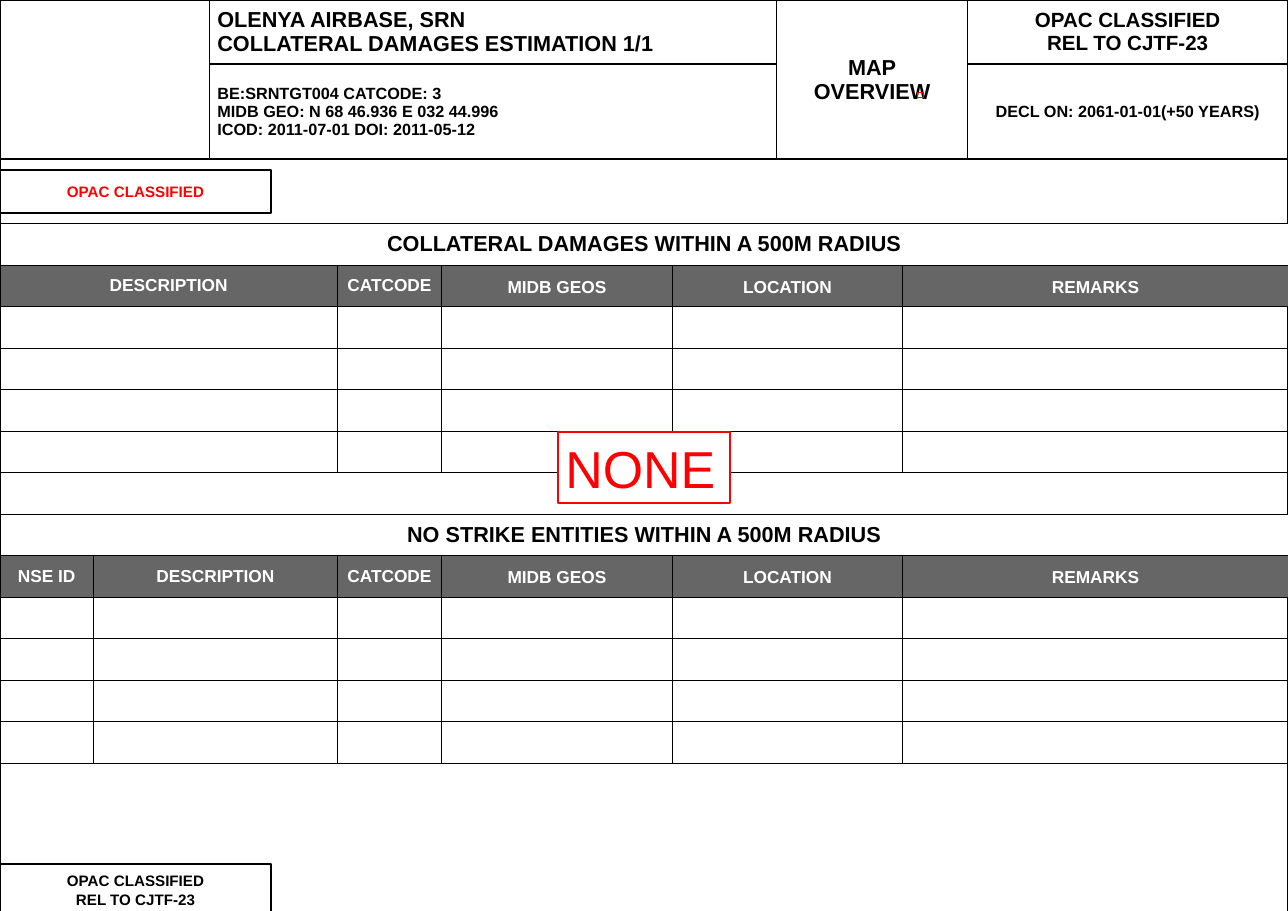
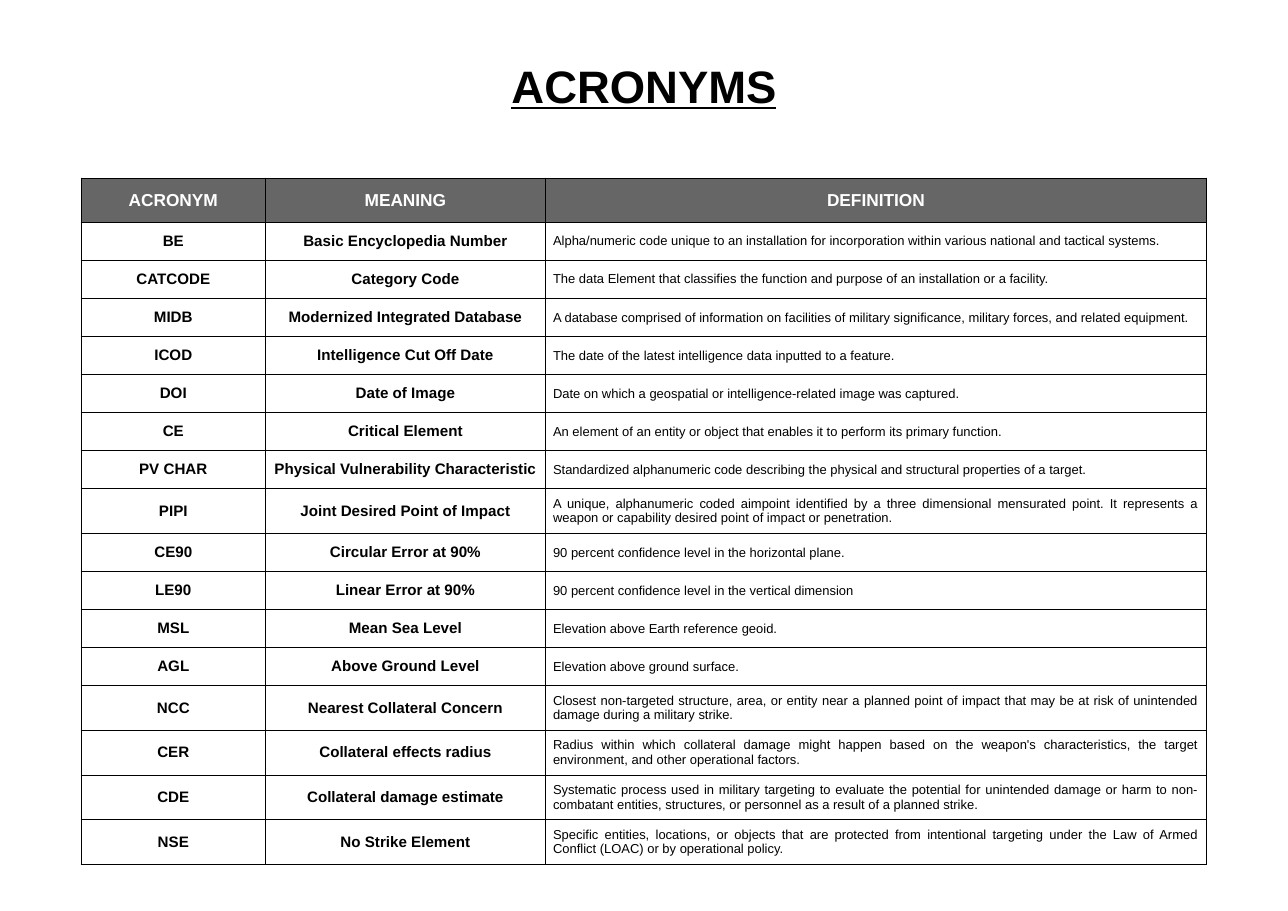
"""Build a collateral damage estimation sheet and its table of acronyms."""
from dataclasses import dataclass

from lxml import etree
from pptx import Presentation
from pptx.dml.color import RGBColor
from pptx.enum.shapes import MSO_SHAPE
from pptx.enum.text import MSO_ANCHOR, MSO_AUTO_SIZE, PP_ALIGN
from pptx.oxml.ns import qn
from pptx.util import Pt

RECTANGLE = MSO_SHAPE.RECTANGLE
TOP, MIDDLE = MSO_ANCHOR.TOP, MSO_ANCHOR.MIDDLE
LEFT, CENTER, JUSTIFY = PP_ALIGN.LEFT, PP_ALIGN.CENTER, PP_ALIGN.JUSTIFY
NO_AUTOFIT = MSO_AUTO_SIZE.NONE
TITLE_ONLY, BLANK = 5, 6


@dataclass(frozen=True)
class Theme:
    font: str = "Arial"
    black: str = "000000"
    white: str = "FFFFFF"
    gray: str = "666666"
    red: str = "FF0000"
    title: float = 42
    stamp: float = 48
    heading: float = 20
    marking: float = 19
    column: float = 16
    detail: float = 15
    label: float = 14
    body: float = 12
    inset: float = 7.2
    thin: float = 0.75
    thick: float = 1.5


THEME = Theme()
WIDTH, HEIGHT = 1190.5, 842
BANNER_COLUMNS = (193.7, 524.2, 176.4, 296)
BANNER_ROWS = (58, 88, 697)
DAMAGE_COLUMNS = (86.4, 225.4, 96.5, 213.1, 213.1, 356.4)
DAMAGE_ROWS = (38.4,) * 13
ACRONYM_COLUMNS = (170.6, 258.5, 611.3)
SECOND_SECTION = 7
DAMAGE_HEADS = ("DESCRIPTION", "CATCODE", "MIDB GEOS", "LOCATION", "REMARKS")
ACRONYM_HEADS = ("ACRONYM", "MEANING", "DEFINITION")
ACRONYMS = (
    ("BE", "Basic Encyclopedia Number",
     "Alpha/numeric code unique to an installation for incorporation within various "
     "national and tactical systems."),
    ("CATCODE", "Category Code",
     "The data Element that classifies the function and purpose of an installation or a facility."),
    ("MIDB", "Modernized Integrated Database",
     "A database comprised of information on facilities of military significance, "
     "military forces, and related equipment."),
    ("ICOD", "Intelligence Cut Off Date",
     "The date of the latest intelligence data inputted to a feature."),
    ("DOI", "Date of Image",
     "Date on which a geospatial or intelligence-related image was captured."),
    ("CE", "Critical Element",
     "An element of an entity or object that enables it to perform its primary function."),
    ("PV CHAR", "Physical Vulnerability Characteristic",
     "Standardized alphanumeric code describing the physical and structural properties of a target."),
    ("PIPI", "Joint Desired Point of Impact",
     "A unique, alphanumeric coded aimpoint identified by a three dimensional mensurated "
     "point. It represents a weapon or capability desired point of impact or penetration."),
    ("CE90", "Circular Error at 90%", "90 percent confidence level in the horizontal plane."),
    ("LE90", "Linear Error at 90%", "90 percent confidence level in the vertical dimension"),
    ("MSL", "Mean Sea Level", "Elevation above Earth reference geoid."),
    ("AGL", "Above Ground Level", "Elevation above ground surface."),
    ("NCC", "Nearest Collateral Concern",
     "Closest non-targeted structure, area, or entity near a planned point of impact that "
     "may be at risk of unintended damage during a military strike."),
    ("CER", "Collateral effects radius",
     "Radius within which collateral damage might happen based on the weapon's "
     "characteristics, the target environment, and other operational factors."),
    ("CDE", "Collateral damage estimate",
     "Systematic process used in military targeting to evaluate the potential for "
     "unintended damage or harm to non-combatant entities, structures, or personnel as a "
     "result of a planned strike."),
    ("NSE", "No Strike Element",
     "Specific entities, locations, or objects that are protected from intentional "
     "targeting under the Law of Armed Conflict (LOAC) or by operational policy."),
)


def write(frame, text, size=THEME.label, color=THEME.black, bold=True,
          underline=False, align=CENTER, spacing=None):
    for index, line in enumerate(text.split("\n")):
        para = frame.add_paragraph() if index else frame.paragraphs[0]
        para.alignment = align
        if spacing:
            para.line_spacing = spacing
        span = para.add_run()
        span.text = line
        font = span.font
        font.name, font.size = THEME.font, Pt(size)
        font.bold, font.underline = bold, underline
        font.color.rgb = RGBColor.from_string(color)


def paint(fill, color):
    if color:
        fill.solid()
        fill.fore_color.rgb = RGBColor.from_string(color)
    else:
        fill.background()


def set_insets(target, horizontal, vertical):
    target.margin_left = target.margin_right = Pt(horizontal)
    target.margin_top = target.margin_bottom = Pt(vertical)


def add_borders(cell, width):
    properties = cell._tc.get_or_add_tcPr()
    for side in ("lnL", "lnR", "lnT", "lnB"):
        line = etree.SubElement(properties, qn(f"a:{side}"), w=str(Pt(width)))
        solid = etree.SubElement(line, qn("a:solidFill"))
        etree.SubElement(solid, qn("a:srgbClr"), val=THEME.black)


def add_grid(page, left, top, columns, rows, line_width):
    frame = page.shapes.add_table(len(rows), len(columns), Pt(left), Pt(top),
                                  Pt(sum(columns)), Pt(sum(rows)))
    grid = frame.table
    grid.first_row = grid.horz_banding = False
    for column, width in zip(grid.columns, columns):
        column.width = Pt(width)
    for row, height in zip(grid.rows, rows):
        row.height = Pt(height)
    for cell in grid.iter_cells():
        add_borders(cell, line_width)
        cell.fill.background()
        cell.vertical_anchor = MIDDLE
        set_insets(cell, THEME.inset, THEME.inset)
    return grid


def fill_cell(grid, row, column, text, fill=None, **text_format):
    cell = grid.cell(row, column)
    if fill:
        paint(cell.fill, fill)
    if text:
        write(cell.text_frame, text, **text_format)


def head_cell(grid, row, column, text, **text_format):
    fill_cell(grid, row, column, text, fill=THEME.gray, size=THEME.column,
              color=THEME.white, **text_format)


def merge(grid, row, column, last_row, last_column):
    grid.cell(row, column).merge(grid.cell(last_row, last_column))


def add_box(page, left, top, width, height, text="", fill=THEME.white,
            line=THEME.black, line_width=THEME.thick, anchor=MIDDLE,
            vertical_inset=THEME.inset, **text_format):
    box = page.shapes.add_shape(RECTANGLE, Pt(left), Pt(top), Pt(width), Pt(height))
    box.shadow.inherit = False
    paint(box.fill, fill)
    paint(box.line.fill, line)
    box.line.width = Pt(line_width)
    if text:
        frame = box.text_frame
        frame.word_wrap = True
        frame.vertical_anchor = anchor
        set_insets(frame, THEME.inset, vertical_inset)
        write(frame, text, **text_format)


def add_banner(page):
    grid = add_grid(page, 0, 0, BANNER_COLUMNS, BANNER_ROWS, THEME.thick)
    merge(grid, 0, 0, 1, 0)
    merge(grid, 0, 2, 1, 2)
    merge(grid, 2, 0, 2, 3)
    cells = (
        (0, 0, "", THEME.heading, CENTER),
        (0, 1, "OLENYA AIRBASE, SRN\nCOLLATERAL DAMAGES ESTIMATION 1/1", THEME.heading, LEFT),
        (0, 2, "MAP\nOVERVIEW", THEME.heading, CENTER),
        (0, 3, "OPAC CLASSIFIED\nREL TO CJTF-23", THEME.marking, CENTER),
        (1, 1, "BE:SRNTGT004 CATCODE: 3\nMIDB GEO: N 68 46.936 E 032 44.996\n"
               "ICOD: 2011-07-01 DOI: 2011-05-12", THEME.detail, LEFT),
        (1, 3, "DECL ON: 2061-01-01(+50 YEARS)", THEME.detail, CENTER),
    )
    for row, column, text, size, align in cells:
        fill_cell(grid, row, column, text, fill=THEME.white, size=size, align=align)


def add_section(grid, row, title, heads):
    last_column = len(DAMAGE_COLUMNS) - 1
    merge(grid, row, 0, row, last_column)
    fill_cell(grid, row, 0, title, fill=THEME.white, size=THEME.heading)
    for column, text in heads:
        head_cell(grid, row + 1, column, text, spacing=1.15 if column > 2 else None)


def add_damage_table(page):
    grid = add_grid(page, 0, 206.6, DAMAGE_COLUMNS, DAMAGE_ROWS, THEME.thin)
    for row in range(1, SECOND_SECTION - 1):
        merge(grid, row, 0, row, 1)
    merge_row = SECOND_SECTION - 1
    merge(grid, merge_row, 0, merge_row, len(DAMAGE_COLUMNS) - 1)
    merged_heads = zip((0, 2, 3, 4, 5), DAMAGE_HEADS)
    add_section(grid, 0, "COLLATERAL DAMAGES WITHIN A 500M RADIUS", merged_heads)
    add_section(grid, SECOND_SECTION, "NO STRIKE ENTITIES WITHIN A 500M RADIUS",
                enumerate(("NSE ID",) + DAMAGE_HEADS))


def build_estimation(deck):
    page = deck.slides.add_slide(deck.slide_layouts[BLANK])
    add_banner(page)
    add_box(page, 0, 798.5, 250.6, 48.2, "OPAC CLASSIFIED\nREL TO CJTF-23")
    add_box(page, 0, 157, 250.6, 39.6, "OPAC CLASSIFIED", color=THEME.red)
    add_damage_table(page)
    add_box(page, 848.2, 85, 5, 5, fill=None, line=THEME.red, line_width=0.5)
    add_box(page, 515.5, 399.6, 159.1, 65.5, "NONE", line=THEME.red, line_width=2,
            anchor=TOP, vertical_inset=3.6, size=THEME.stamp, color=THEME.red,
            bold=False, align=LEFT)


def add_title(page, text):
    title = page.shapes.title
    title.left, title.top = Pt(0), Pt(4.3)
    title.width, title.height = Pt(WIDTH), Pt(148.3)
    frame = title.text_frame
    frame.auto_size = NO_AUTOFIT
    frame.vertical_anchor = MIDDLE
    set_insets(frame, THEME.inset, THEME.inset)
    write(frame, text, size=THEME.title, underline=True)


def build_acronyms(deck):
    page = deck.slides.add_slide(deck.slide_layouts[TITLE_ONLY])
    add_title(page, "ACRONYMS")
    heights = (41,) + (35.2,) * len(ACRONYMS)
    grid = add_grid(page, 74.9, 164.5, ACRONYM_COLUMNS, heights, THEME.thin)
    for column, text in enumerate(ACRONYM_HEADS):
        head_cell(grid, 0, column, text)
    for row, (acronym, meaning, definition) in enumerate(ACRONYMS, 1):
        fill_cell(grid, row, 0, acronym)
        fill_cell(grid, row, 1, meaning)
        fill_cell(grid, row, 2, definition, size=THEME.body, bold=False, align=JUSTIFY)


def main():
    deck = Presentation()
    deck.slide_width, deck.slide_height = Pt(WIDTH), Pt(HEIGHT)
    build_estimation(deck)
    build_acronyms(deck)
    deck.save("out.pptx")


if __name__ == "__main__":
    main()
